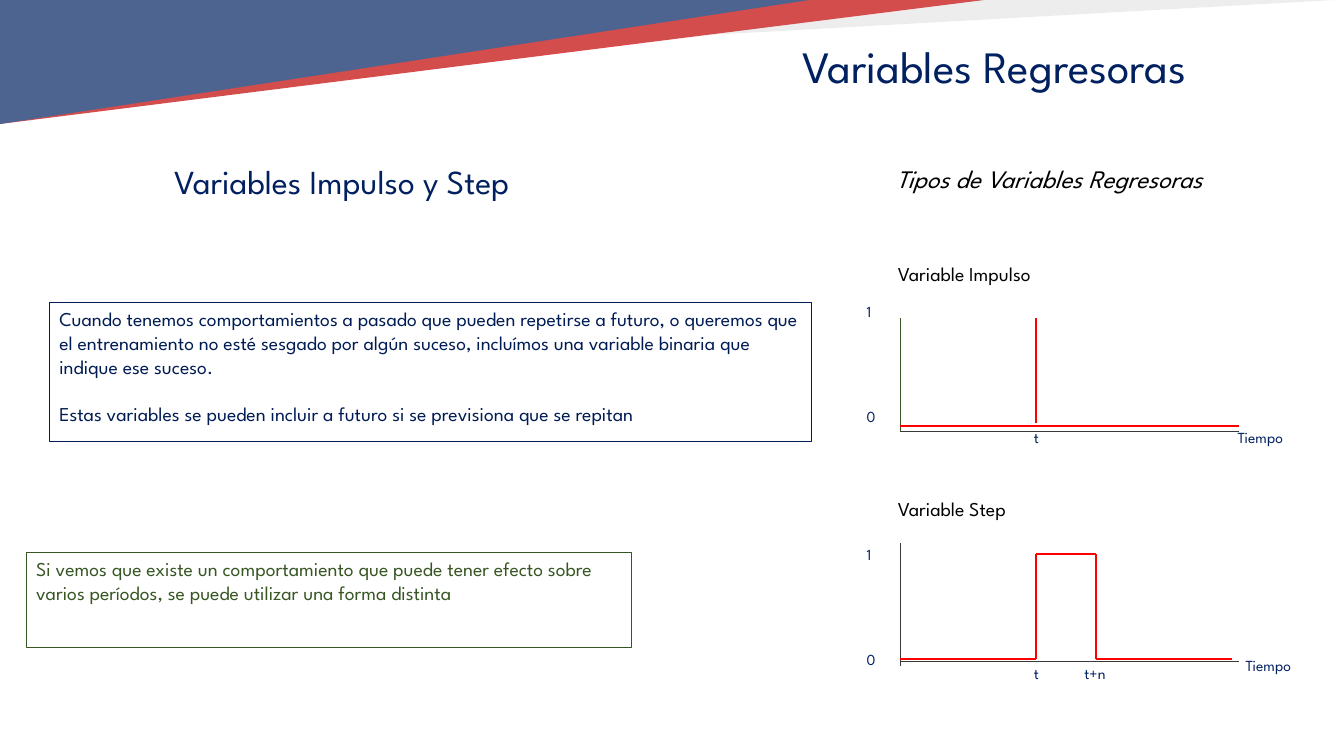
from itertools import pairwise

from lxml.etree import SubElement
from pptx import Presentation
from pptx.dml.color import RGBColor
from pptx.enum.shapes import MSO_CONNECTOR, MSO_SHAPE
from pptx.enum.text import MSO_ANCHOR, PP_ALIGN
from pptx.oxml.ns import qn
from pptx.util import Pt

FONT = "League Spartan"
NAVY, INK, GREEN, RED = "002060", "001C54", "375623", "FF0000"
BLACK, WHITE, GREY = "000000", "FFFFFF", "3A3838"
LINE_GAP = 16.8


def rgb(value):
    return RGBColor.from_string(value)


def paint(shape, color, opacity=100):
    shape.shadow.inherit = False
    shape.fill.solid()
    shape.fill.fore_color.rgb = rgb(color)
    shape.line.fill.background()
    if opacity < 100:
        clr = shape.fill._xPr.find(qn("a:solidFill"))[0]
        SubElement(clr, qn("a:alpha"), val=str(opacity * 1000))


def write(shape, paragraphs, size, color, align=PP_ALIGN.LEFT, italic=False, inset=(7.2, 3.6)):
    tf = shape.text_frame
    dx, dy = map(Pt, inset)
    frame_format = {"word_wrap": True, "vertical_anchor": MSO_ANCHOR.TOP,
                    "margin_left": dx, "margin_right": dx,
                    "margin_top": dy, "margin_bottom": dy}
    for name, value in frame_format.items():
        setattr(tf, name, value)
    for i, text in enumerate(paragraphs):
        p = tf.paragraphs[0] if i == 0 else tf.add_paragraph()
        p.alignment = align
        if i:
            p.space_before = Pt(LINE_GAP)
        r = p.add_run()
        r.text = text
        for name, value in {"name": FONT, "size": Pt(size), "italic": italic}.items():
            setattr(r.font, name, value)
        r.font.color.rgb = rgb(color)


def add_text(s, box, text, size, color, **options):
    write(s.shapes.add_textbox(*map(Pt, box)), [text], size, color, **options)


def add_box(s, box, paragraphs, color, border=None):
    sp = s.shapes.add_shape(MSO_SHAPE.RECTANGLE, *map(Pt, box))
    paint(sp, WHITE, 56)
    if border:
        sp.line.color.rgb = rgb(border)
        sp.line.width = Pt(0.75)
    write(sp, paragraphs, 14, color)


def add_path(s, points, color, width):
    for start, end in pairwise(points):
        line = s.shapes.add_connector(MSO_CONNECTOR.STRAIGHT, *map(Pt, start + end))
        line.line.color.rgb = rgb(color)
        line.line.width = Pt(width)
        SubElement(line._element.spPr, qn("a:effectLst"))


def add_banner(s, width):
    # Layered wedges hanging from the top edge, softened by a white veil
    for w, h, color in ((954, 53.3, "E6E6E6"), (703.4, 88.6, "C00000"), (578.2, 88.6, NAVY)):
        wedge = s.shapes.add_shape(MSO_SHAPE.ISOSCELES_TRIANGLE, 0, 0, Pt(w), Pt(h))
        wedge.adjustments[0] = 0
        wedge._element.spPr.xfrm.set("flipV", "1")
        paint(wedge, color)
    veil = s.shapes.add_shape(MSO_SHAPE.RECTANGLE, 0, 0, width, Pt(104.4))
    paint(veil, WHITE, 30)


def add_headings(s):
    add_text(s, (451.4, 23.8, 518.4, 46.1), "Variables Regresoras", 32, NAVY,
             align=PP_ALIGN.CENTER)
    add_text(s, (16.6, 111.6, 455, 36), "Variables Impulso y Step", 24, NAVY,
             align=PP_ALIGN.CENTER)
    add_text(s, (630.7, 111.6, 303.8, 36.7), "Tipos de Variables Regresoras", 18, BLACK,
             italic=True, inset=(9.4, 5))


def add_diagram(s, left, top, title, axes, curves, labels):
    def shift(points):
        return [(left + x, top + y) for x, y in points]

    add_box(s, (left + 22.3, top, 133.2, 34.6), [title], BLACK)
    for points, color in axes:
        add_path(s, shift(points), color, 0.5)
    for points in curves:
        add_path(s, shift(points), RED, 1.5)
    for text, x, y, w in labels:
        add_text(s, (left + x, top + y, w, 20.9), text, 11, NAVY)


def add_diagrams(s, left):
    x0, xt, xn, x_end = 31, 128.2, 170.6, 272.9
    small, wide = 18.7, 74.9
    # Impulse: a single spike at t
    add_diagram(
        s, left, 183.6, "Variable Impulso",
        axes=[([(x0, 124.6), (x_end, 124.6)], GREY), ([(x0, 124.6), (x0, 43.9)], GREEN)],
        curves=[[(xt, 118.8), (xt, 43.9)], [(x0, 121), (x_end, 121)]],
        labels=[("1", 0, 28.8, small), ("0", 0, 103.7, small),
                ("t", 119.5, 118.8, small), ("Tiempo", 265, 118.8, wide)])
    # Step: a plateau from t to t+n
    low, high = 119.5, 44.6
    add_diagram(
        s, left, 351.4, "Variable Step",
        axes=[([(x0, 120.9), (x_end, 120.9)], GREY), ([(x0, 124.6), (x0, 36.7)], GREY)],
        curves=[[(x0, low), (xt, low), (xt, high), (xn, high), (xn, low), (267.8, low)]],
        labels=[("1", 0, 34.5, small), ("0", 0, 109.4, small), ("t", 119.5, low, small),
                ("t+n", 155.5, low, 42.5), ("Tiempo", 270.7, 113.8, wide)])


def add_explanations(s):
    add_box(s, (35.3, 216, 544.3, 99.4), [
        "Cuando tenemos comportamientos a pasado que pueden repetirse a futuro, o queremos "
        "que el entrenamiento no esté sesgado por algún suceso, incluímos una variable "
        "binaria que indique ese suceso.",
        "Estas variables se pueden incluir a futuro si se previsiona que se repitan",
    ], INK, border=INK)
    add_box(s, (18.7, 394.6, 432.7, 67.7), [
        "Si vemos que existe un comportamiento que puede tener efecto sobre varios "
        "períodos, se puede utilizar una forma distinta",
    ], GREEN, border=GREEN)


def main():
    prs = Presentation()
    prs.slide_width, prs.slide_height = Pt(960), Pt(540)
    s = prs.slides.add_slide(prs.slide_layouts[6])
    add_banner(s, prs.slide_width)
    add_headings(s)
    add_diagrams(s, left=612)
    add_explanations(s)
    prs.save("out.pptx")


if __name__ == "__main__":
    main()
